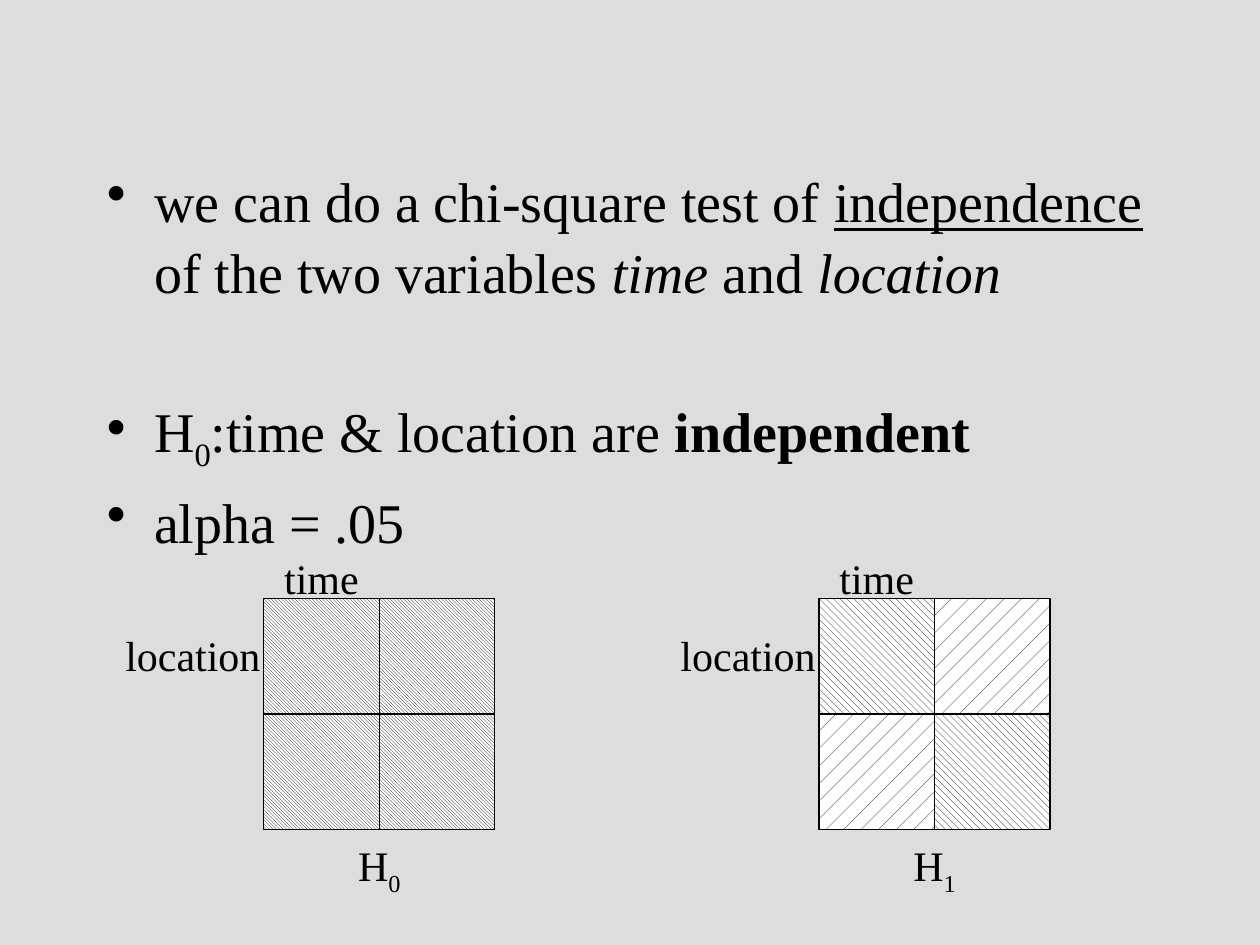
from dataclasses import dataclass

from lxml import etree
from pptx import Presentation
from pptx.dml.color import RGBColor
from pptx.enum.dml import MSO_PATTERN
from pptx.enum.shapes import MSO_SHAPE
from pptx.enum.text import MSO_AUTO_SIZE, PP_ALIGN
from pptx.oxml.ns import qn
from pptx.util import Pt

PX = 9525  # EMU per px, 96 px to the inch
RECTANGLE = MSO_SHAPE.RECTANGLE
CENTER, RIGHT = PP_ALIGN.CENTER, PP_ALIGN.RIGHT
FIT_SHAPE = MSO_AUTO_SIZE.SHAPE_TO_FIT_TEXT
EVEN = MSO_PATTERN.LIGHT_DOWNWARD_DIAGONAL
FREQUENT = MSO_PATTERN.WIDE_DOWNWARD_DIAGONAL
RARE = MSO_PATTERN.PERCENT_5


@dataclass(frozen=True)
class Theme:
    font: str = "Times New Roman"
    ink: RGBColor = RGBColor(0x00, 0x00, 0x00)
    paper: RGBColor = RGBColor(0xFF, 0xFF, 0xFF)
    background: RGBColor = RGBColor(0xDD, 0xDD, 0xDD)
    body_size: int = 32
    label_size: int = 24
    border: float = 0.75
    line_spacing: float = 1.05


class SlideBuilder:
    def __init__(self, slide, theme):
        self.slide = slide
        self.theme = theme
        fill = slide.background.fill
        fill.solid()
        fill.fore_color.rgb = theme.background

    def add_runs(self, paragraph, runs, size):
        """Fill a paragraph with (text, style) runs."""
        font = paragraph.font
        font.name, font.size = self.theme.font, Pt(size)
        font.color.rgb = self.theme.ink
        for text, style in runs:
            run = paragraph.add_run()
            run.text = text
            if style == "subscript":
                run.font._element.set("baseline", "-25000")
            elif style == "underline":
                run.font.underline = True
            elif style == "italic":
                run.font.italic = True
            elif style == "bold":
                run.font.bold = True

    def text_frame(self, shapes, left, top, width, height):
        box = shapes.add_textbox(left * PX, top * PX, width * PX, height * PX)
        box.text_frame.word_wrap = True
        return box.text_frame

    def bullets(self, left, top, width, height, items, indent):
        """Add a bulleted list of (space before in points, runs) items."""
        frame = self.text_frame(self.slide.shapes, left, top, width, height)
        for index, (space, runs) in enumerate(items):
            paragraph = frame.add_paragraph() if index else frame.paragraphs[0]
            self.add_runs(paragraph, runs, self.theme.body_size)
            paragraph.line_spacing = self.theme.line_spacing
            paragraph.space_before = Pt(space)
            properties = paragraph._p.get_or_add_pPr()
            properties.set("marL", str(indent * PX))
            properties.set("indent", str(-indent * PX))
            bullet = etree.Element(qn("a:buChar"), char="•")
            properties.insert_element_before(bullet, "a:tabLst", "a:defRPr", "a:extLst")

    def label(self, group, left, top, width, runs, align):
        frame = self.text_frame(group.shapes, left, top, width, 48)
        frame.auto_size = FIT_SHAPE
        paragraph = frame.paragraphs[0]
        paragraph.alignment = align
        self.add_runs(paragraph, runs, self.theme.label_size)

    def cell(self, group, left, top, size, pattern):
        square = group.shapes.add_shape(RECTANGLE, left * PX, top * PX, size * PX, size * PX)
        square.shadow.inherit = False
        square.fill.patterned()
        square.fill.pattern = pattern
        square.fill.fore_color.rgb = self.theme.ink
        square.fill.back_color.rgb = self.theme.paper
        square.line.color.rgb = self.theme.ink
        square.line.width = Pt(self.theme.border)

    def contingency(self, left, top, patterns, hypothesis):
        """Add a 2 x 2 time-by-location square with its labels."""
        size = 88
        group = self.slide.shapes.add_group_shape()
        for row, row_patterns in enumerate(patterns):
            for column, pattern in enumerate(row_patterns):
                self.cell(group, left + column * size, top + row * size, size, pattern)
        self.label(group, left - 28, top - 40, 144, [("time", None)], CENTER)
        self.label(group, left - 137, top + 19, 144, [("location", None)], RIGHT)
        self.label(group, left + 56, top + 179, 64,
                   [("H", None), (hypothesis, "subscript")], CENTER)


def main():
    presentation = Presentation()
    presentation.slide_width, presentation.slide_height = 960 * PX, 720 * PX
    slide = presentation.slides.add_slide(presentation.slide_layouts[6])
    builder = SlideBuilder(slide, Theme())

    # Test and hypothesis
    builder.bullets(72, 120, 816, 472, [
        (6.4, [("we can do a chi-square test of ", None), ("independence", "underline"),
               (" of the two variables ", None), ("time", "italic"),
               (" and ", None), ("location", "italic")]),
        (50, [("H", None), ("0", "subscript"), (":time & location are ", None),
              ("independent", "bold")]),
        (6.4, [("alpha = .05", None)]),
    ], indent=36)

    # Expected patterns under each hypothesis
    builder.contingency(201, 456, [[EVEN, EVEN], [EVEN, EVEN]], "0")
    builder.contingency(624, 456, [[FREQUENT, RARE], [RARE, FREQUENT]], "1")

    presentation.save("out.pptx")


if __name__ == "__main__":
    main()
